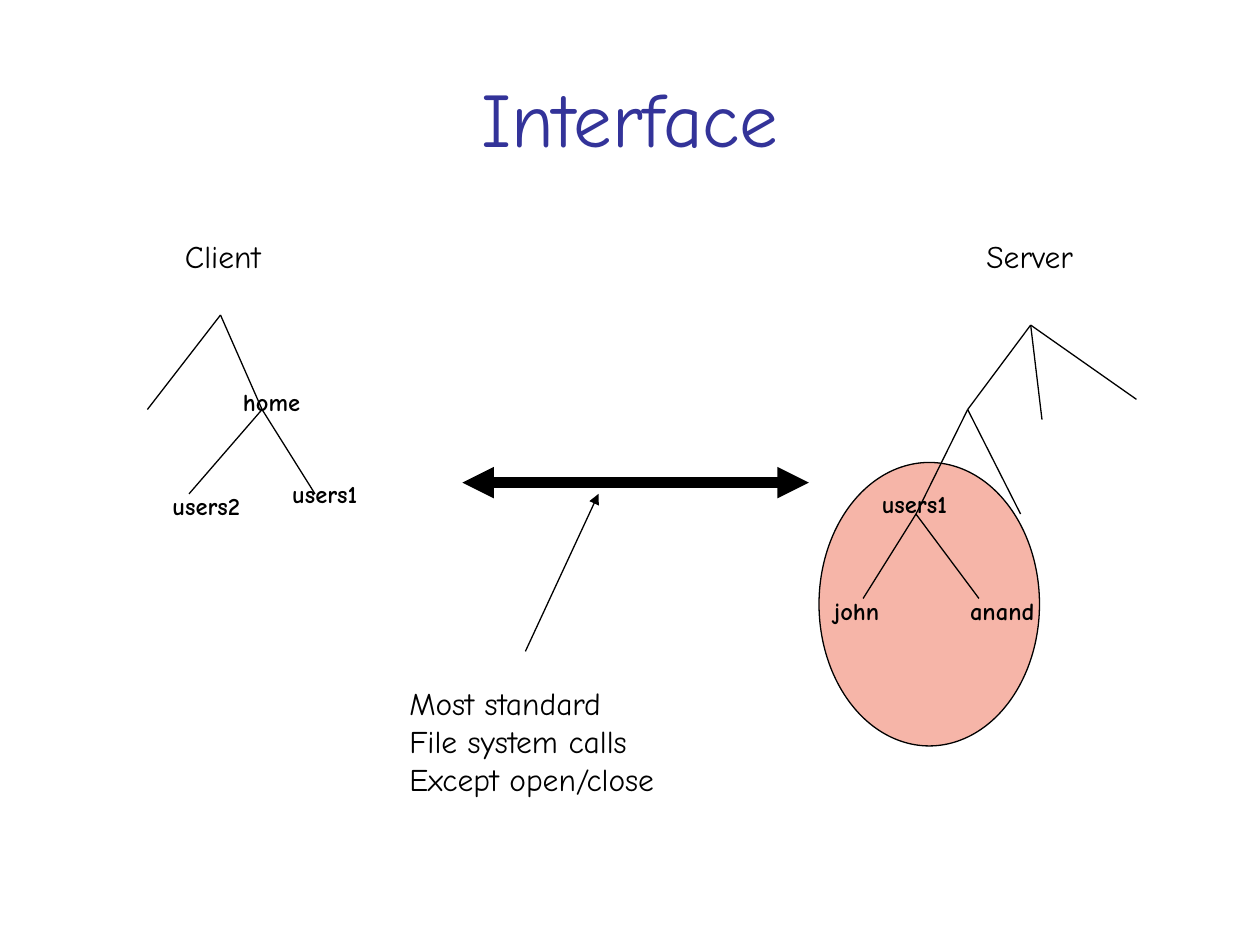
import pptx
import pptx.util
import pptx.dml.color
import pptx.enum.shapes
import pptx.enum.text
import pptx.oxml
import pptx.oxml.ns

Inches, Pt = pptx.util.Inches, pptx.util.Pt
ALIGN = pptx.enum.text.PP_ALIGN
ANCHOR = pptx.enum.text.MSO_ANCHOR
AUTO_SIZE = pptx.enum.text.MSO_AUTO_SIZE

# Content
COLORS = {"title": "333399", "ink": "000000", "export": "F6B5A8"}
FONT = "Comic Neue"

STYLES = {
    "title": {"size": Pt(44), "bold": False, "name": FONT},
    "label": {"size": Pt(18), "bold": False, "name": FONT},
    "folder": {"size": Pt(14), "bold": True, "name": FONT},
}
MARGINS = {
    "margin_left": Inches(0.1), "margin_right": Inches(0.1),
    "margin_top": Inches(0.05), "margin_bottom": Inches(0.05),
}
TITLE_FRAME = {
    **MARGINS, "word_wrap": True, "auto_size": AUTO_SIZE.NONE,
    "vertical_anchor": ANCHOR.MIDDLE,
}
LABEL_FRAME = {
    **MARGINS, "word_wrap": False, "auto_size": AUTO_SIZE.SHAPE_TO_FIT_TEXT,
    "vertical_anchor": ANCHOR.TOP,
}

EXPORTED_AREA = (6.5, 3.67, 1.75, 2.25)

# Each tree node: its point and the points of its children
TREES = [
    ((8.18, 2.58), [(7.68, 3.25), (8.27, 3.33), (9.02, 3.17)]),
    ((7.68, 3.25), [(7.27, 4.08), (8.1, 4.08)]),
    ((7.27, 4.08), [(6.85, 4.75), (7.77, 4.75)]),
    ((1.75, 2.5), [(1.17, 3.25), (2.08, 3.25)]),
    ((2.08, 3.25), [(1.5, 3.92), (2.5, 3.92)]),
]

# Start, end, width in points, line ends with arrowheads
ARROWS = [
    ((3.67, 3.83), (6.42, 3.83), 6, ("headEnd", "tailEnd")),
    ((4.17, 5.17), (4.75, 3.92), 0.75, ("tailEnd",)),
]

# Style, left, top, width, height, lines
TEXTS = [
    ("folder", 6.9, 3.83, 0.72, 0.34, ["users1"]),
    ("folder", 6.52, 4.68, 0.56, 0.34, ["john"]),
    ("folder", 7.6, 4.68, 0.71, 0.34, ["anand"]),
    ("folder", 1.27, 3.85, 0.74, 0.34, ["users2"]),
    ("folder", 2.22, 3.75, 0.72, 0.34, ["users1"]),
    ("folder", 1.83, 3.02, 0.67, 0.34, ["home"]),
    ("label", 7.73, 1.83, 0.89, 0.4, ["Server"]),
    ("label", 1.37, 1.83, 0.8, 0.4, ["Client"]),
    ("label", 3.15, 5.38, 2.17, 1,
     ["Most standard", "File system calls", "Except open/close"]),
]


def rgb(key):
    return pptx.dml.color.RGBColor.from_string(COLORS[key])


def set_all(target, values):
    for attribute, value in values.items():
        setattr(target, attribute, value)


def add_text(slide, style, left, top, width, height, lines,
             color="ink", align=ALIGN.LEFT, frame_format=LABEL_FRAME):
    box = slide.shapes.add_textbox(*map(Inches, (left, top, width, height)))
    frame = box.text_frame
    set_all(frame, frame_format)
    frame.text = "\n".join(lines)
    for paragraph in frame.paragraphs:
        paragraph.alignment = align
        for run in paragraph.runs:
            set_all(run.font, STYLES[style])
            run.font.color.rgb = rgb(color)


def add_line(slide, start, end, width=0.75, arrowheads=()):
    line = slide.shapes.add_connector(
        pptx.enum.shapes.MSO_CONNECTOR.STRAIGHT, *map(Inches, start + end))
    line.line.color.rgb = rgb("ink")
    line.line.width = Pt(width)
    for tag in arrowheads:
        head = pptx.oxml.parse_xml(
            f'<a:{tag} {pptx.oxml.ns.nsdecls("a")} type="triangle"/>')
        line.line._get_or_add_ln().append(head)
    line._element.spPr.append(pptx.oxml.parse_xml(
        f'<a:effectLst {pptx.oxml.ns.nsdecls("a")}/>'))


def main():
    deck = pptx.Presentation()
    deck.slide_width, deck.slide_height = Inches(10), Inches(7.5)
    slide = deck.slides.add_slide(deck.slide_layouts[6])

    # Title
    add_text(slide, "title", 0.5, 0.3, 9, 1.25, ["Interface"],
             "title", ALIGN.CENTER, TITLE_FRAME)

    # Exported part of the server tree
    exported = slide.shapes.add_shape(
        pptx.enum.shapes.MSO_SHAPE.OVAL, *map(Inches, EXPORTED_AREA))
    exported.shadow.inherit = False
    exported.fill.solid()
    exported.fill.fore_color.rgb = rgb("export")
    exported.line.color.rgb = rgb("ink")
    exported.line.width = Pt(0.75)

    # Directory trees
    for parent, children in TREES:
        for child in children:
            add_line(slide, parent, child)

    # Interface arrow and its pointer
    for arrow in ARROWS:
        add_line(slide, *arrow)

    # Labels
    for text in TEXTS:
        add_text(slide, *text)

    deck.save("out.pptx")


if __name__ == "__main__":
    main()
